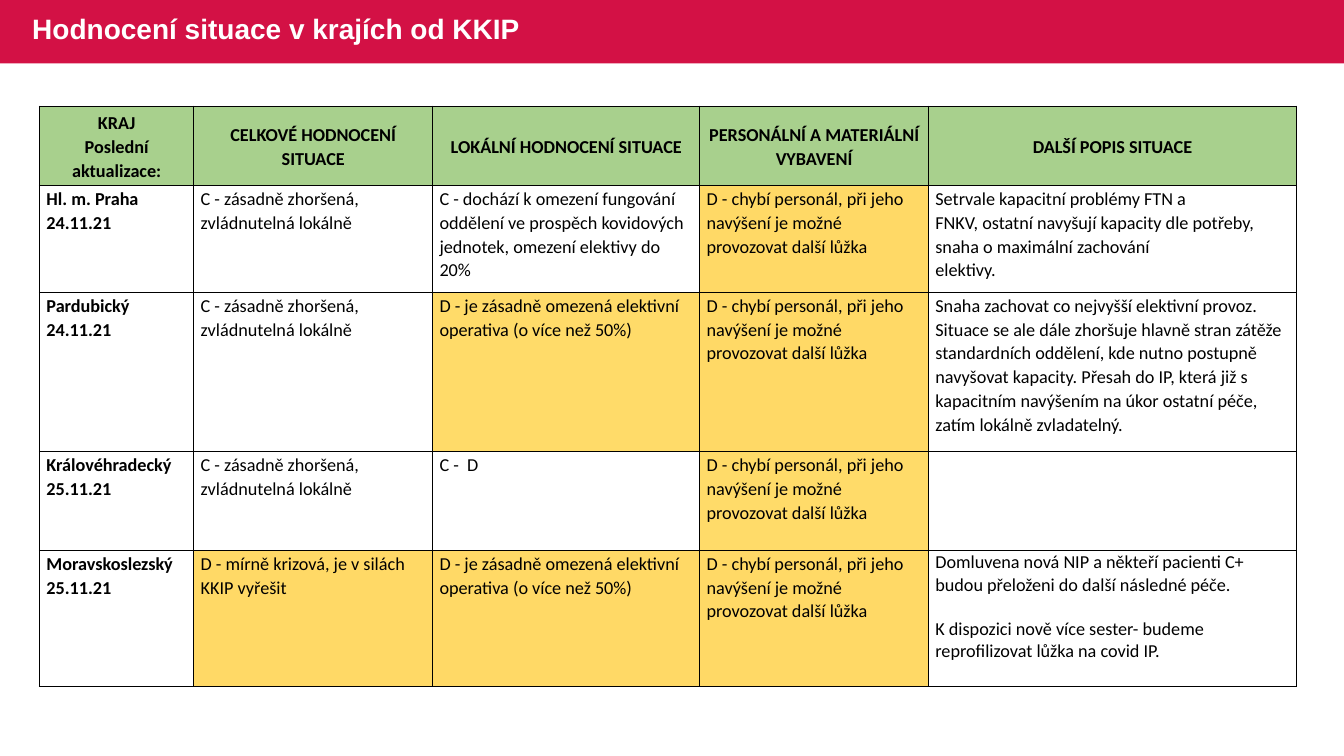
from dataclasses import dataclass
from typing import Optional

from lxml.etree import SubElement
from pptx import Presentation
from pptx.dml.color import RGBColor
from pptx.enum.shapes import MSO_SHAPE
from pptx.enum.text import MSO_ANCHOR, MSO_AUTO_SIZE, PP_ALIGN
from pptx.oxml.ns import qn
from pptx.util import Pt

RED = RGBColor(0xD3, 0x11, 0x45)
GREEN = RGBColor(0xA8, 0xD0, 0x8D)
AMBER = RGBColor(0xFF, 0xD9, 0x66)
LIGHT = RGBColor(0xFF, 0xDB, 0x69)
WHITE = RGBColor(0xFF, 0xFF, 0xFF)
BLACK = RGBColor(0, 0, 0)

WIDTHS = (110.2, 170.6, 190.8, 163.4, 262.8)
HEIGHTS = (56.9, 76.3, 113.8, 70.6, 97)


@dataclass(frozen=True)
class Item:
    text: tuple[str, ...]
    fill: Optional[RGBColor] = None
    space: float = 1.07
    gap: float = 0


def write(frame, *lines: str, size: float = 13, face: str = "Calibri",
          color: RGBColor = BLACK, bold: bool = False,
          align: PP_ALIGN = PP_ALIGN.LEFT, space: float = 1.07,
          gap: float = 0) -> None:
    """Put one paragraph per line; a newline inside a line is a soft break."""
    for num, line in enumerate(lines):
        para = frame.add_paragraph() if num else frame.paragraphs[0]
        para.alignment = align
        para.line_spacing = space
        para.space_before = Pt(gap if num else 0)
        for part, text in enumerate(line.split("\n")):
            if part:
                para.add_line_break()
            run = para.add_run()
            run.text = text
            font = run.font
            font.name, font.size, font.bold = face, Pt(size), bold
            font.color.rgb = color


def border(cell, color: RGBColor = BLACK, width: float = 1) -> None:
    props = cell._tc.get_or_add_tcPr()
    for side in ("a:lnL", "a:lnR", "a:lnT", "a:lnB"):
        line = SubElement(props, qn(side), w=str(Pt(width)))
        fill = SubElement(line, qn("a:solidFill"))
        SubElement(fill, qn("a:srgbClr"), val=str(color))


def draw(cell, item: Item, head: bool, bold: bool) -> None:
    cell.margin_left = cell.margin_right = Pt(5)
    cell.margin_top, cell.margin_bottom = Pt(0.7), Pt(0)
    cell.vertical_anchor = MSO_ANCHOR.MIDDLE if head else MSO_ANCHOR.TOP
    border(cell)
    if item.fill is None:
        cell.fill.background()
    else:
        cell.fill.solid()
        cell.fill.fore_color.rgb = item.fill
    write(cell.text_frame, *item.text, bold=bold, space=item.space,
          gap=item.gap, align=PP_ALIGN.CENTER if head else PP_ALIGN.LEFT)


# Ratings that recur in the table
WORSE = Item(("C - zásadně zhoršená, zvládnutelná lokálně",))
LIMIT = "D - je zásadně omezená elektivní operativa (o více než 50%)"
STAFF = "D - chybí personál, při jeho navýšení je možné provozovat další lůžka"

HEAD = [Item(text, GREEN) for text in (
    ("KRAJ", "Poslední aktualizace:"),
    ("CELKOVÉ HODNOCENÍ SITUACE",),
    ("LOKÁLNÍ HODNOCENÍ SITUACE",),
    ("PERSONÁLNÍ A MATERIÁLNÍ VYBAVENÍ",),
    ("DALŠÍ POPIS SITUACE",),
)]
ROWS = [
    HEAD,
    [Item(("Hl. m. Praha", "24.11.21")), WORSE,
     Item(("C - dochází k omezení fungování oddělení ve prospěch kovidových "
           "jednotek, omezení elektivy do 20%",)),
     Item((STAFF,), AMBER),
     Item(("Setrvale kapacitní problémy FTN a\nFNKV, ostatní navyšují "
           "kapacity dle potřeby, snaha o maximální zachování\nelektivy.",))],
    [Item(("Pardubický", "24.11.21")), WORSE,
     Item((LIMIT,), LIGHT), Item((STAFF,), AMBER),
     Item(("Snaha zachovat co nejvyšší elektivní provoz. Situace se ale dále "
           "zhoršuje hlavně stran zátěže standardních oddělení, kde nutno "
           "postupně navyšovat kapacity. Přesah do IP, která již s "
           "kapacitním navýšením na úkor ostatní péče, zatím lokálně "
           "zvladatelný.",))],
    [Item(("Královéhradecký", "25.11.21")), WORSE,
     Item(("C -  D",)), Item((STAFF,), LIGHT), Item(())],
    [Item(("Moravskoslezský", "25.11.21")),
     Item(("D - mírně krizová, je v silách KKIP vyřešit",), AMBER),
     Item((LIMIT,), AMBER), Item((STAFF,), AMBER),
     Item(("Domluvena nová NIP a někteří pacienti C+ budou přeloženi do "
           "další následné péče.",
           "K dispozici nově více sester- budeme reprofilizovat lůžka na "
           "covid IP."), space=1, gap=15.9)],
]


def main() -> None:
    deck = Presentation()
    deck.slide_width, deck.slide_height = Pt(960), Pt(540)
    slide = deck.slides.add_slide(deck.slide_layouts[5])
    shapes = slide.shapes

    # Red band behind the title
    band = shapes.add_shape(MSO_SHAPE.RECTANGLE, Pt(0), Pt(0), Pt(960), Pt(45.4))
    band.shadow.inherit = False
    band.fill.solid()
    band.fill.fore_color.rgb = RED
    band.line.fill.background()
    shapes._spTree.insert(2, band._element)

    # Title
    title = shapes.title
    title.left, title.top = Pt(15.8), Pt(-0.7)
    title.width, title.height = Pt(586), Pt(45.4)
    frame = title.text_frame
    frame.auto_size = MSO_AUTO_SIZE.NONE
    frame.vertical_anchor = MSO_ANCHOR.MIDDLE
    write(frame, "Hodnocení situace v krajích od KKIP", size=20, face="Arial",
          color=WHITE, bold=True, space=0.9)

    # Table of regions
    table = shapes.add_table(len(ROWS), len(WIDTHS), Pt(28.2), Pt(75.8),
                             Pt(sum(WIDTHS)), Pt(sum(HEIGHTS))).table
    table.first_row = table.horz_banding = False
    for col, width in zip(table.columns, WIDTHS):
        col.width = Pt(width)
    for row, height in zip(table.rows, HEIGHTS):
        row.height = Pt(height)
    for r, items in enumerate(ROWS):
        for c, item in enumerate(items):
            draw(table.cell(r, c), item, head=r == 0, bold=r == 0 or c == 0)

    deck.save("out.pptx")


if __name__ == "__main__":
    main()
